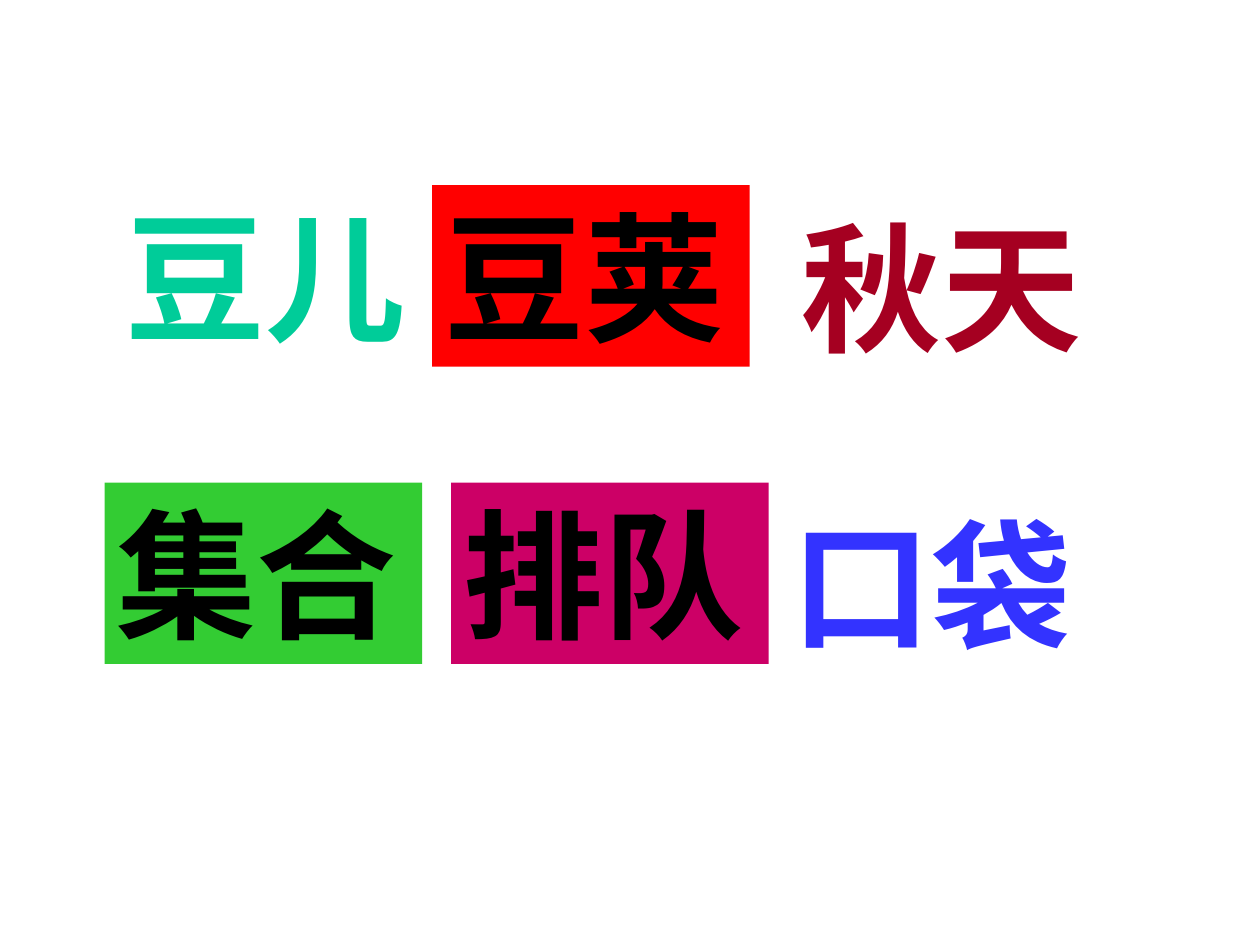
import dataclasses

import pptx
import pptx.dml.color
import pptx.enum.lang
import pptx.enum.shapes
import pptx.enum.text
import pptx.util


@dataclasses.dataclass(frozen=True)
class Theme:
    font: str = "Times New Roman"
    size: float = 80
    black: str = "000000"
    mint: str = "00CC99"
    red: str = "FF0000"
    wine: str = "A50021"
    green: str = "33CC33"
    pink: str = "CC0066"
    blue: str = "3333FF"


def shade(code):
    return pptx.dml.color.RGBColor.from_string(code)


def write(frame, text, *, font, size, color, bold=True):
    frame.word_wrap = True
    frame.auto_size = pptx.enum.text.MSO_AUTO_SIZE.SHAPE_TO_FIT_TEXT
    frame.vertical_anchor = pptx.enum.text.MSO_ANCHOR.TOP
    frame.margin_left = frame.margin_right = pptx.util.Pt(7.2)
    frame.margin_top = frame.margin_bottom = pptx.util.Pt(3.6)
    line = frame.paragraphs[0]
    line.alignment = pptx.enum.text.PP_ALIGN.LEFT
    run = line.add_run()
    run.text = text
    run.font.name = font
    run.font.size = pptx.util.Pt(size)
    run.font.bold = bold
    run.font.color.rgb = shade(color)
    run.font.language_id = pptx.enum.lang.MSO_LANGUAGE_ID.SIMPLIFIED_CHINESE


class Board:
    width, height = 181.44, 103.68

    def __init__(self, slide, theme):
        self.slide = slide
        self.theme = theme

    def bounds(self, left, top):
        return [pptx.util.Pt(n) for n in (left, top, self.width, self.height)]

    def label(self, text, left, top, color):
        box = self.slide.shapes.add_textbox(*self.bounds(left, top))
        write(box.text_frame, text, font=self.theme.font,
              size=self.theme.size, color=color)

    def card(self, text, left, top, fill):
        kind = pptx.enum.shapes.MSO_SHAPE.RECTANGLE
        card = self.slide.shapes.add_shape(kind, *self.bounds(left, top))
        card.shadow.inherit = False
        card.fill.solid()
        card.fill.fore_color.rgb = shade(fill)
        card.line.fill.background()
        write(card.text_frame, text, font=self.theme.font,
              size=self.theme.size, color=self.theme.black)


def main():
    deck = pptx.Presentation()
    deck.slide_width = pptx.util.Pt(720)
    deck.slide_height = pptx.util.Pt(540)
    theme = Theme()
    board = Board(deck.slides.add_slide(deck.slide_layouts[6]), theme)
    upper, lower, drop = 105.84, 275.76, 5.76

    board.label("秋天", 450.72, upper + drop, theme.wine)
    board.card("集合", 59.76, lower, theme.green)
    board.card("排队", 257.76, lower, theme.pink)
    board.label("口袋", 444.96, lower + drop, theme.blue)
    board.label("豆儿", 64.8, upper, theme.mint)
    board.card("豆荚", 246.96, upper, theme.red)
    deck.save("out.pptx")


if __name__ == "__main__":
    main()
